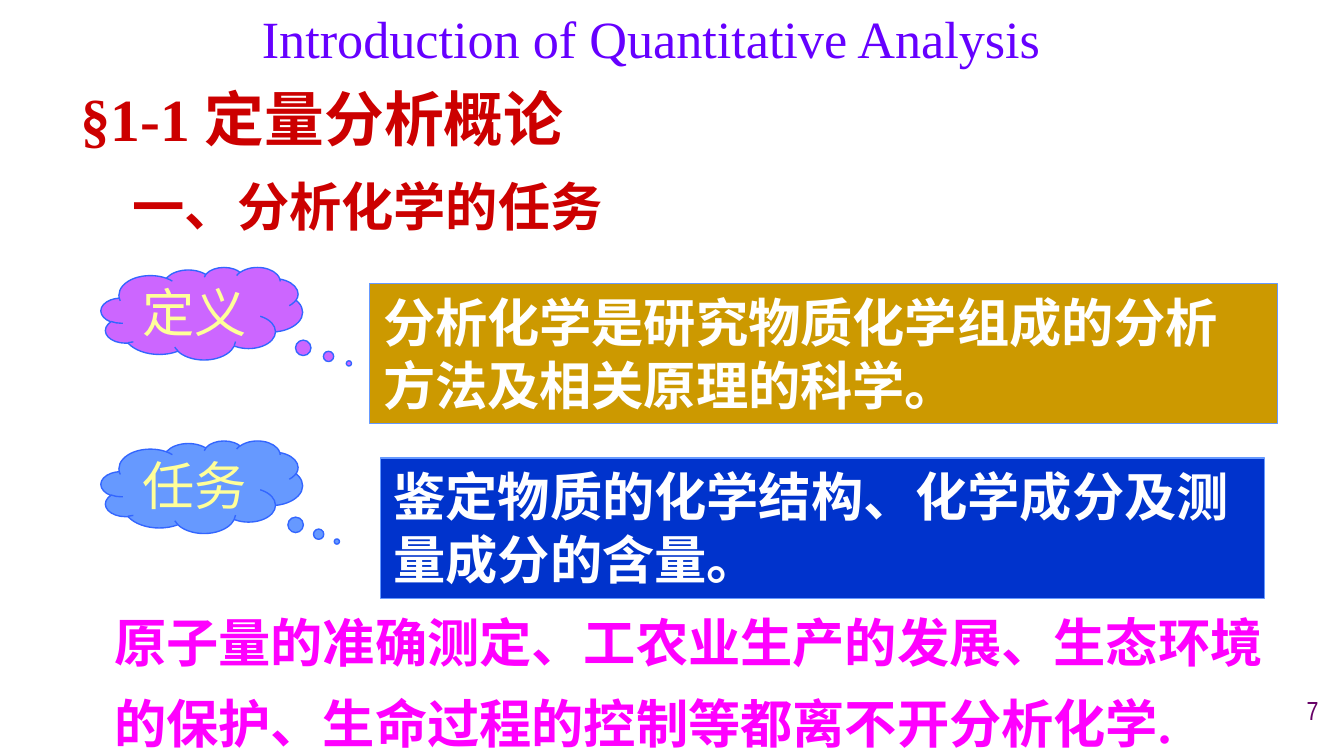
from pptx import Presentation
from pptx.dml.color import RGBColor
from pptx.enum.shapes import MSO_SHAPE as SHAPE
from pptx.enum.text import MSO_ANCHOR as ANCHOR, PP_ALIGN as ALIGN
from pptx.util import Cm, Pt

COLORS = {
    "title": "6600FF", "heading": "CC0000", "cloud_line": "3366FF",
    "cloud_text": "FFFF99", "violet": "CC66FF", "sky": "6699FF",
    "gold": "CC9900", "blue": "0033CC", "white": "FFFFFF",
    "summary": "FF00FF", "number": "660066",
}
SERIF = "Times New Roman"


def add_run(p, text, size, color, font=SERIF, bold=False):
    r = p.add_run()
    r.text = text
    r.font.size = Pt(size)
    r.font.name = font
    r.font.bold = bold
    r.font.color.rgb = RGBColor.from_string(COLORS[color])


def add_box(kind, left, top, width, height, fill, line):
    sp = s.shapes.add_shape(kind, Cm(left), Cm(top), Cm(width), Cm(height))
    sp.shadow.inherit = False
    sp.fill.solid()
    sp.fill.fore_color.rgb = RGBColor.from_string(COLORS[fill])
    sp.line.color.rgb = RGBColor.from_string(COLORS[line])
    sp.line.width = Pt(0.75)
    return sp


prs = Presentation()
prs.slide_width, prs.slide_height = Cm(25.4), Cm(14.29)
s = prs.slides.add_slide(prs.slide_layouts[6])

tf = s.shapes.add_textbox(Cm(1.27), Cm(1.42), Cm(22.02), Cm(2.69)).text_frame
tf.word_wrap = True
add_run(tf.paragraphs[0], "§1-1 定量分析概论", 32, "heading", bold=True)
p = tf.add_paragraph()
p.space_before = Pt(11)
p._p.get_or_add_pPr().set("marL", str(Cm(0.99)))
add_run(p, "一、分析化学的任务", 28, "heading", bold=True)

topics = [
    ("定义", 5.05, "violet", (0.73, 0.54),
     "分析化学是研究物质化学组成的分析方法及相关原理的科学。", 6.99, 5.36, 17.15, 2.65, "gold"),
    ("任务", 8.33, "sky", (0.67, 0.59),
     "鉴定物质的化学结构、化学成分及测量成分的含量。", 7.19, 8.66, 16.71, 2.65, "blue"),
]
for label, cloud_top, cloud_fill, tail, text, left, top, width, height, fill in topics:
    cloud = add_box(SHAPE.CLOUD_CALLOUT, 1.91, cloud_top, 3.81, 1.75, cloud_fill, "cloud_line")
    cloud.adjustments[0], cloud.adjustments[1] = tail
    tf = cloud.text_frame
    tf.word_wrap = False
    tf.vertical_anchor = ANCHOR.MIDDLE
    p = tf.paragraphs[0]
    p.alignment = ALIGN.CENTER
    add_run(p, label, 28, "cloud_text", "Noto Sans CJK SC")

    tf = add_box(SHAPE.RECTANGLE, left, top, width, height, fill, "sky").text_frame
    tf.word_wrap = True
    tf.vertical_anchor = ANCHOR.TOP
    p = tf.paragraphs[0]
    p.alignment = ALIGN.LEFT
    add_run(p, text, 28, "white", bold=True)

tf = s.shapes.add_textbox(Cm(4.7), Cm(0), Cm(15.37), Cm(1.45)).text_frame
tf.word_wrap = False
add_run(tf.paragraphs[0], "Introduction of Quantitative Analysis", 28, "title")

tf = s.shapes.add_textbox(Cm(1.91), Cm(11.05), Cm(22.4), Cm(3.38)).text_frame
tf.word_wrap = True
p = tf.paragraphs[0]
p.line_spacing = 1.3
add_run(p, "原子量的准确测定、工农业生产的发展、生态环境的保护、生命过程的控制等都离不开分析化学.",
        28, "summary", bold=True)

tf = s.shapes.add_textbox(Cm(19.89), Cm(13), Cm(5.28), Cm(0.97)).text_frame
tf.word_wrap = True
p = tf.paragraphs[0]
p.alignment = ALIGN.RIGHT
add_run(p, "7", 14, "number", "Arial Narrow")

prs.save("out.pptx")
